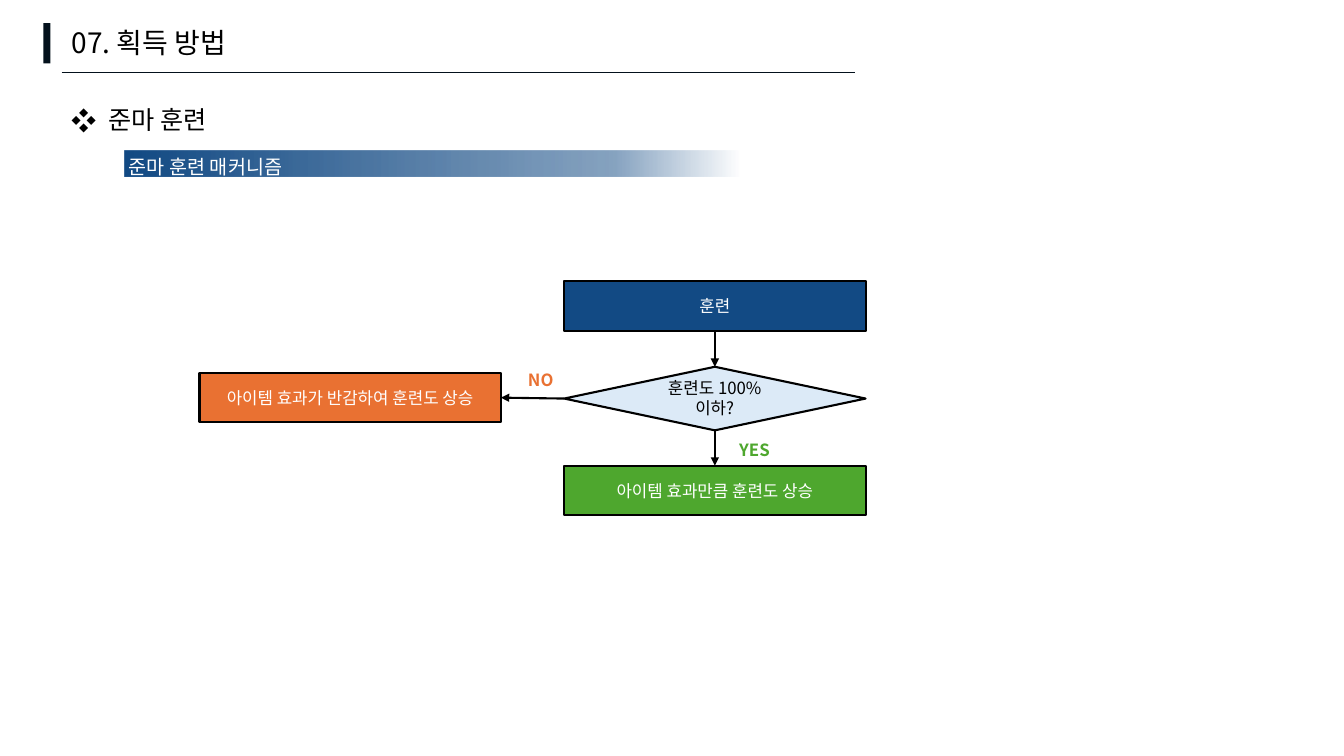
from lxml.etree import SubElement
from pptx import Presentation
from pptx.dml.color import RGBColor
from pptx.enum.shapes import MSO_CONNECTOR, MSO_SHAPE
from pptx.enum.text import MSO_ANCHOR, MSO_AUTO_SIZE, PP_ALIGN
from pptx.oxml import parse_xml
from pptx.oxml.ns import nsdecls, qn
from pptx.util import Pt

BLACK = RGBColor(0x00, 0x00, 0x00)
WHITE = RGBColor(0xFF, 0xFF, 0xFF)
INK = RGBColor(0x03, 0x11, 0x1C)
NAVY = RGBColor(0x12, 0x4A, 0x84)
PALE = RGBColor(0xDC, 0xEA, 0xF7)
ORANGE = RGBColor(0xE9, 0x71, 0x32)
GREEN = RGBColor(0x4E, 0xA7, 0x2E)
FONT = "Noto Sans CJK KR"
TOP, LEFT, BOTTOM, RIGHT = range(4)


class FlowSlide:
    """Draws styled flowchart elements on one slide, measured in points."""

    def __init__(self, page):
        self.page = page
        self.font = FONT
        self.outline = 1.5

    def add_spans(self, para, lines, size, color, bold=False):
        for index, line in enumerate(lines):
            if index:
                para.add_line_break()
            span = para.add_run()
            span.text = line
            span.font.size = Pt(size)
            span.font.bold = bold
            span.font.color.rgb = color
            span.font.name = self.font
            SubElement(span.font._element, qn("a:ea"), typeface=self.font)

    def shape(self, kind, left, top, width, height, fill, outlined=False):
        box = self.page.shapes.add_shape(kind, Pt(left), Pt(top), Pt(width), Pt(height))
        box.shadow.inherit = False
        box.fill.solid()
        box.fill.fore_color.rgb = fill
        if outlined:
            box.line.color.rgb = BLACK
            box.line.width = Pt(self.outline)
        else:
            box.line.fill.background()
        return box

    def fading_bar(self, left, top, width, height, color):
        bar = self.shape(MSO_SHAPE.RECTANGLE, left, top, width, height, color)
        stops = "".join(
            f'<a:gs pos="{position * 1000}"><a:srgbClr val="{color}">'
            f'<a:alpha val="{opacity * 1000}"/></a:srgbClr></a:gs>'
            for position, opacity in ((0, 0), (20, 50), (100, 100))
        )
        gradient = parse_xml(
            f'<a:gradFill {nsdecls("a")} rotWithShape="1"><a:gsLst>{stops}</a:gsLst>'
            '<a:lin ang="10800000" scaled="0"/></a:gradFill>'
        )
        properties = bar._element.spPr
        properties.replace(properties.find(qn("a:solidFill")), gradient)

    def step(self, left, top, text, fill):
        box = self.shape(MSO_SHAPE.RECTANGLE, left, top, 215.3, 35.3, fill, True)
        box.text_frame.vertical_anchor = MSO_ANCHOR.MIDDLE
        para = box.text_frame.paragraphs[0]
        para.alignment = PP_ALIGN.CENTER
        self.add_spans(para, [text], 12, WHITE)
        return box

    def text(self, left, top, width, height, lines, size, color,
             spacing=None, centered=False, bold=False, bullet=None):
        box = self.page.shapes.add_textbox(Pt(left), Pt(top), Pt(width), Pt(height))
        box.text_frame.word_wrap = True
        box.text_frame.auto_size = MSO_AUTO_SIZE.SHAPE_TO_FIT_TEXT
        para = box.text_frame.paragraphs[0]
        para.alignment = PP_ALIGN.CENTER if centered else PP_ALIGN.LEFT
        para.line_spacing = spacing
        if bullet:
            properties = para._p.get_or_add_pPr()
            properties.set("marL", str(Pt(26.5)))
            properties.set("indent", str(-Pt(26.5)))
            SubElement(properties, qn("a:buFont"), typeface=self.font)
            SubElement(properties, qn("a:buChar"), char=bullet)
        self.add_spans(para, lines, size, color, bold)

    def line(self, start, end, color, width):
        points = [Pt(value) for value in (*start, *end)]
        line = self.page.shapes.add_connector(MSO_CONNECTOR.STRAIGHT, *points)
        line.line.color.rgb = color
        line.line.width = Pt(width)
        SubElement(line._element.spPr, qn("a:effectLst"))
        return line

    def arrow(self, source, source_side, target, target_side):
        arrow = self.line((0, 0), (0, 0), BLACK, self.outline)
        arrow.begin_connect(source, source_side)
        arrow.end_connect(target, target_side)
        SubElement(arrow.line._get_or_add_ln(), qn("a:tailEnd"), type="triangle")


def main():
    deck = Presentation()
    deck.slide_width, deck.slide_height = Pt(960), Pt(540)
    slide = FlowSlide(deck.slides.add_slide(deck.slide_layouts[6]))

    slide.fading_bar(89, 107.3, 439.2, 18.7, NAVY)
    slide.shape(MSO_SHAPE.RECTANGLE, 31, 16.5, 5, 28.8, INK)
    slide.line((44, 51.8), (611, 51.8), INK, 0.25)
    slide.text(85, 98.6, 840, 29.5, ["준마 훈련 매커니즘"], 14, WHITE, spacing=1.5)
    slide.text(44, 14.4, 141, 31.7, ["07. 획득 방법"], 20, BLACK)
    slide.text(44, 60.5, 886, 36, ["준마 훈련"], 18, BLACK, spacing=1.5, bullet="❖")

    training = slide.step(403, 201, "훈련", NAVY)
    decision = slide.shape(MSO_SHAPE.DIAMOND, 403, 262, 215.3, 45.4, PALE, True)
    slide.text(462.3, 266.4, 96.5, 36, ["훈련도 100%", "이하?"], 12, BLACK, centered=True)
    full_gain = slide.step(403, 332.6, "아이템 효과만큼 훈련도 상승", GREEN)
    half_gain = slide.step(142.5, 266.4, "아이템 효과가 반감하여 훈련도 상승", ORANGE)

    slide.arrow(training, BOTTOM, decision, TOP)
    slide.arrow(decision, BOTTOM, full_gain, TOP)
    slide.arrow(decision, LEFT, half_gain, RIGHT)
    for left, top, answer, color in ((343.4, 253.4, "NO", ORANGE), (496.1, 303.1, "YES", GREEN)):
        slide.text(left, top, 85.7, 26.6, [answer], 12, color, spacing=1.5, centered=True, bold=True)

    deck.save("out.pptx")


if __name__ == "__main__":
    main()
